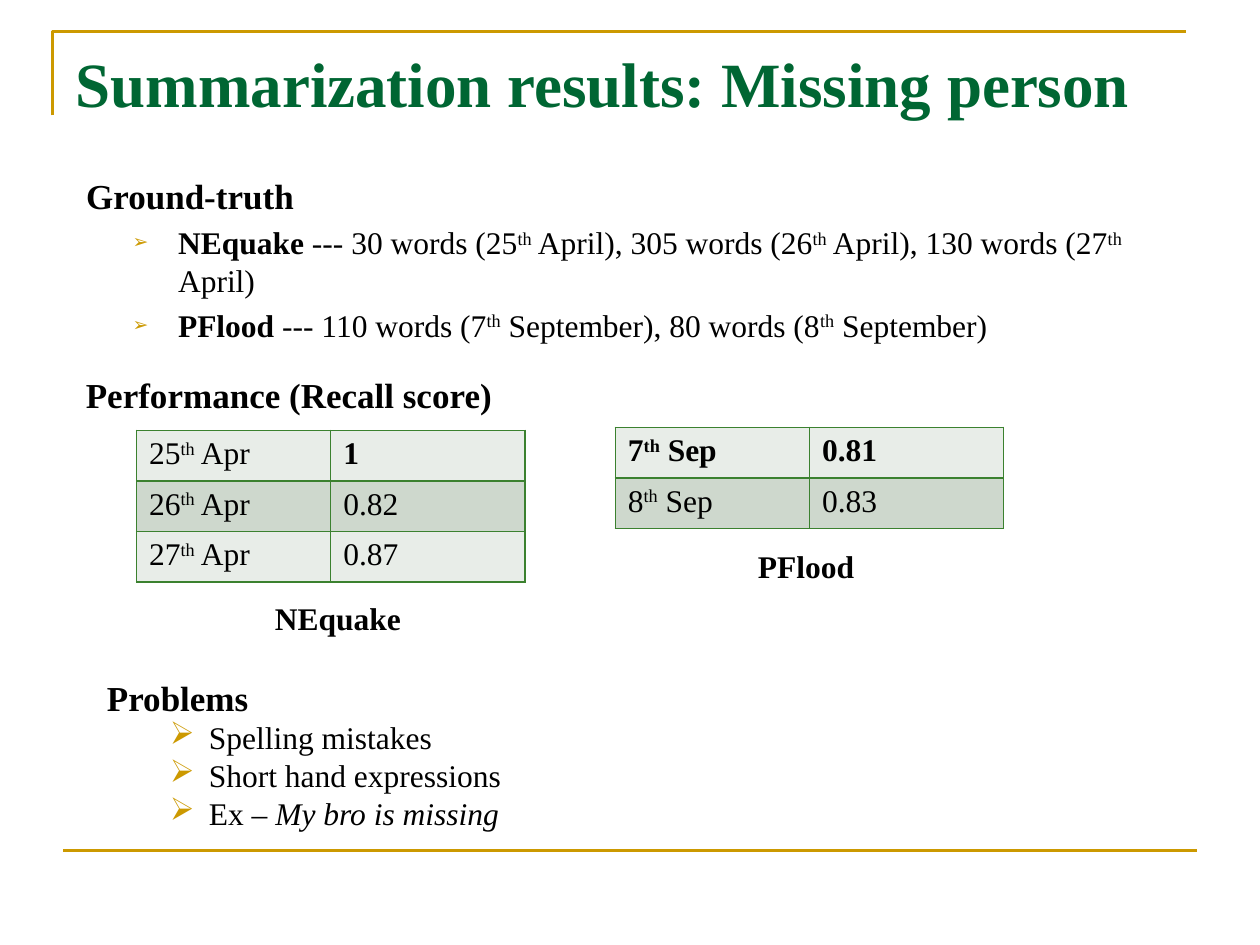
"""Build the slide with summarization results for missing persons."""
from itertools import groupby

from lxml.etree import SubElement
from pptx import Presentation
from pptx.dml.color import RGBColor
from pptx.enum.shapes import MSO_CONNECTOR as Connector
from pptx.enum.text import MSO_ANCHOR as Anchor, MSO_AUTO_SIZE as AutoSize, PP_ALIGN as Align
from pptx.oxml.ns import qn
from pptx.util import Inches, Pt

GOLD = RGBColor(0xCC, 0x99, 0x00)
GREEN = RGBColor(0x00, 0x66, 0x33)
BORDER = RGBColor(0x3B, 0x81, 0x2F)
BANDS = RGBColor(0xE8, 0xED, 0xE8), RGBColor(0xCE, 0xD8, 0xCD)
BLACK = RGBColor(0, 0, 0)
FONT = "Times New Roman"
MARKS = "*^_"


def add_color(parent, color):
    SubElement(parent, qn("a:srgbClr"), val=str(color))


class SlideBuilder:
    """Draws styled elements on a slide divided into 120 columns and 90 rows."""

    def __init__(self, deck):
        self.slide = deck.slides.add_slide(deck.slide_layouts[1])
        self.shapes = self.slide.shapes
        self.column = deck.slide_width / 120
        self.row = deck.slide_height / 90

    def place(self, left, top, width, height):
        return (round(left * self.column), round(top * self.row),
                round(width * self.column), round(height * self.row))

    def add_spans(self, para, text, size=18, color=BLACK):
        """Add text in which * marks bold, ^ superscript and _ italic."""
        active = dict.fromkeys(MARKS, False)
        for is_mark, letters in groupby(text, lambda letter: letter in MARKS):
            if is_mark:
                for mark in letters:
                    active[mark] = not active[mark]
                continue
            span = para.add_run()
            span.text = "".join(letters)
            font = span.font
            font.name, font.size, font.color.rgb = FONT, Pt(size), color
            font.bold, font.italic = active["*"], active["_"]
            if active["^"]:
                font._element.set("baseline", "30000")

    def fill_lines(self, frame, heading, items=(), indent=0.0, hang=0.0, gap=0, bullet_size=100):
        first = frame.paragraphs[0]
        first.space_before = Pt(0)
        props = first._p.get_or_add_pPr()
        props.set("marL", "0")
        props.set("indent", "0")
        SubElement(props, qn("a:buNone"))
        self.add_spans(first, heading, 20)
        for item in items:
            para = frame.add_paragraph()
            para.level = 1
            para.space_before = Pt(gap)
            props = para._p.get_or_add_pPr()
            props.set("marL", str(Inches(indent)))
            props.set("indent", str(-Inches(hang)))
            add_color(SubElement(props, qn("a:buClr")), GOLD)
            SubElement(props, qn("a:buSzPct"), val=str(bullet_size * 1000))
            SubElement(props, qn("a:buChar"), char="➢")
            self.add_spans(para, item)

    def fit(self, holder, area, anchor=Anchor.TOP):
        holder.left, holder.top, holder.width, holder.height = self.place(*area)
        frame = holder.text_frame
        frame.auto_size, frame.vertical_anchor = AutoSize.NONE, anchor
        return frame

    def title(self, text, area):
        para = self.fit(self.shapes.title, area).paragraphs[0]
        para.alignment = Align.LEFT
        self.add_spans(para, text, 36, GREEN)

    def body(self, area, heading, items, **layout):
        self.fill_lines(self.fit(self.slide.placeholders[1], area), heading, items, **layout)

    def text_box(self, area, heading, items=(), **layout):
        frame = self.shapes.add_textbox(*self.place(*area)).text_frame
        frame.word_wrap = True
        self.fill_lines(frame, heading, items, **layout)

    def caption(self, area, text):
        frame = self.shapes.add_textbox(*self.place(*area)).text_frame
        frame.word_wrap = False
        self.add_spans(frame.paragraphs[0], text)

    def table(self, left, top, rows, width=37, row_height=4.8):
        area = self.place(left, top, width, row_height * len(rows))
        table = self.shapes.add_table(len(rows), len(rows[0]), *area).table
        table.first_row = table.horz_banding = False
        for row_index, row in enumerate(rows):
            for column_index, text in enumerate(row):
                cell = table.cell(row_index, column_index)
                self.add_spans(cell.text_frame.paragraphs[0], text)
                self.border(cell)
                cell.fill.solid()
                cell.fill.fore_color.rgb = BANDS[row_index % 2]

    def border(self, cell):
        props = cell._tc.get_or_add_tcPr()
        for side in ("lnL", "lnR", "lnT", "lnB"):
            line = SubElement(props, qn(f"a:{side}"), w=str(Pt(1)))
            add_color(SubElement(line, qn("a:solidFill")), BORDER)

    def corner(self, left, top, right, bottom):
        builder = self.shapes.build_freeform(left, bottom, scale=(self.column, self.row))
        builder.add_line_segments([(left, top), (right, top)], close=False)
        shape = builder.convert_to_shape()
        shape.shadow.inherit = False
        shape.fill.background()
        self.stroke(shape)

    def rule(self, left, right, row):
        start_x, y, end_x, _ = self.place(left, row, right, 0)
        line = self.shapes.add_connector(Connector.STRAIGHT, start_x, y, end_x, y)
        self.stroke(line)
        SubElement(line._element.spPr, qn("a:effectLst"))

    def stroke(self, shape):
        shape.line.color.rgb = GOLD
        shape.line.width = Pt(1.5)


def main():
    deck = Presentation()
    deck.slide_width, deck.slide_height = Inches(10), Inches(7.5)
    page = SlideBuilder(deck)
    page.corner(5, 3, 113, 11)
    page.rule(6, 114, 81)
    page.title("*Summarization results: Missing person*", (6, 3.6, 108, 15))
    page.body((7, 16, 108, 21), "*Ground-truth*", [
        "*NEquake* --- 30 words (25^th^ April), 305 words (26^th^ April), 130 words (27^th^ April)",
        "*PFlood* --- 110 words (7^th^ September), 80 words (8^th^ September)",
    ], indent=0.73, hang=0.36, gap=4, bullet_size=60)
    page.text_box((7, 35, 107, 5), "*Performance (Recall score)*")
    page.table(13, 41, [("25^th^ Apr", "*1*"), ("26^th^ Apr", "0.82"), ("27^th^ Apr", "0.87")])
    page.table(58.6, 40.7, [("*7^th^ Sep*", "*0.81*"), ("8^th^ Sep", "0.83")])
    page.caption((25, 56.5, 14.5, 4.8), "*NEquake*")
    page.caption((71, 51.5, 11.6, 4.8), "*PFlood*")
    page.text_box((9, 63.8, 100, 16.2), "*Problems*", [
        "Spelling mistakes", "Short hand expressions", "Ex – _My bro is missing_",
    ], indent=0.81, hang=0.31)
    deck.save("out.pptx")


if __name__ == "__main__":
    main()
